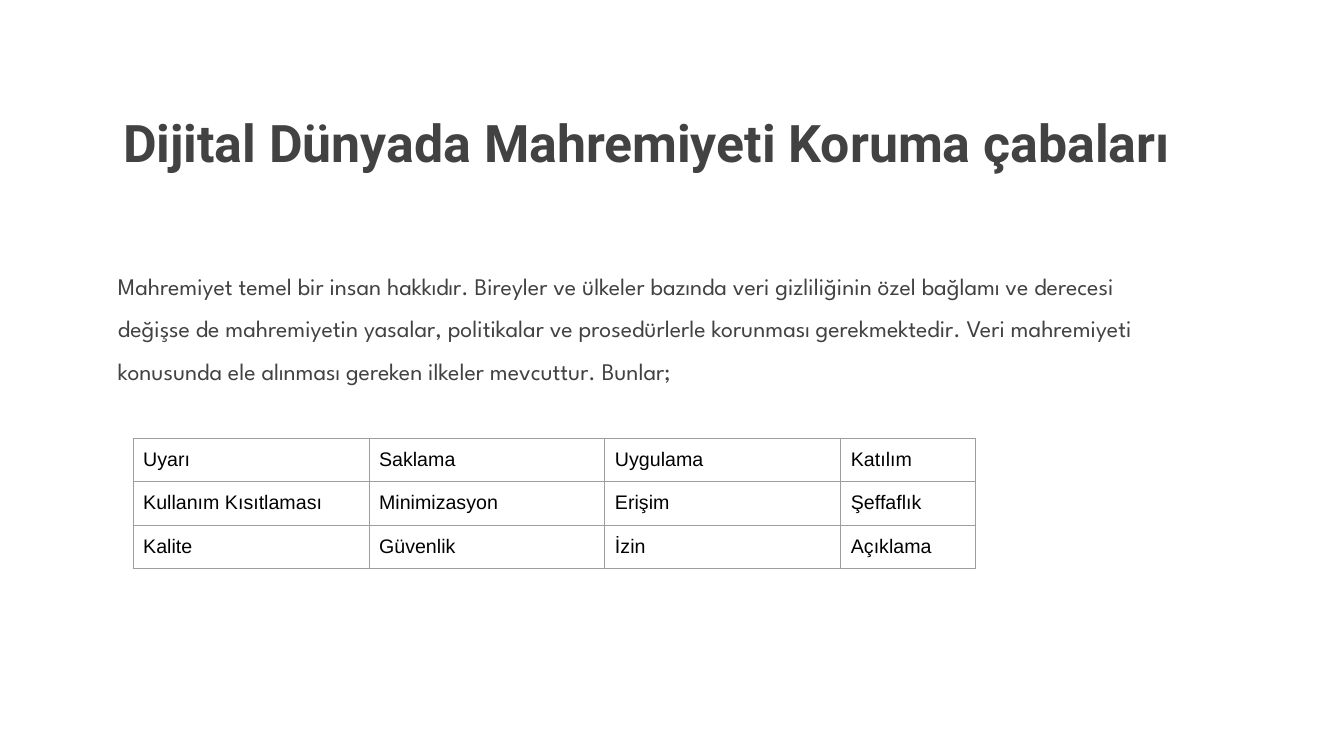
from lxml import etree
from pptx import Presentation
from pptx.dml.color import RGBColor
from pptx.enum.text import MSO_ANCHOR, MSO_AUTO_SIZE, PP_ALIGN
from pptx.oxml.ns import qn
from pptx.util import Inches, Pt

LEFT = PP_ALIGN.LEFT
TOP, MIDDLE = MSO_ANCHOR.TOP, MSO_ANCHOR.MIDDLE
NO_AUTOFIT = MSO_AUTO_SIZE.NONE
TITLE_AND_CONTENT = 1

DARK_GREY = RGBColor(0x42, 0x42, 0x42)
BORDER_GREY = RGBColor(0x9E, 0x9E, 0x9E)
BLACK = RGBColor(0, 0, 0)

TITLE = "Dijital Dünyada Mahremiyeti Koruma çabaları"
INTRODUCTION = (
    "Mahremiyet temel bir insan hakkıdır. Bireyler ve ülkeler bazında veri "
    "gizliliğinin özel bağlamı ve derecesi değişse de mahremiyetin yasalar, "
    "politikalar ve prosedürlerle korunması gerekmektedir. Veri mahremiyeti "
    "konusunda ele alınması gereken ilkeler mevcuttur. Bunlar;"
)
PRINCIPLES = [
    ["Uyarı", "Saklama", "Uygulama", "Katılım"],
    ["Kullanım Kısıtlaması", "Minimizasyon", "Erişim", "Şeffaflık"],
    ["Kalite", "Güvenlik", "İzin", "Açıklama"],
]
COLUMN_WIDTHS = [2.34, 2.34, 2.34, 1.34]
ROW_HEIGHT = 0.43


def set_margins(target, horizontal, vertical):
    target.margin_left = target.margin_right = Inches(horizontal)
    target.margin_top = target.margin_bottom = Inches(vertical)


def style_paragraph(para, font_name, size, color, bold=False):
    para.alignment = LEFT
    for span in para.runs:
        span.font.name = font_name
        span.font.size = Pt(size)
        span.font.bold = bold
        span.font.color.rgb = color


def place_text(box, top, height, text, anchor, side_margin, line_spacing):
    box.left, box.top = Inches(1.12), Inches(top)
    box.width, box.height = Inches(10.63), Inches(height)
    frame = box.text_frame
    frame.text = text
    frame.word_wrap = True
    frame.auto_size = NO_AUTOFIT
    frame.vertical_anchor = anchor
    set_margins(frame, side_margin, 0.05)
    para = frame.paragraphs[0]
    para.line_spacing = line_spacing
    para.space_before = Pt(0)
    return para


def remove_bullet(para):
    properties = para._p.get_or_add_pPr()
    properties.set("marL", "0")
    properties.set("indent", "0")
    etree.SubElement(properties, qn("a:buNone"))


def add_borders(cell):
    properties = cell._tc.get_or_add_tcPr()
    for side in ("lnL", "lnR", "lnT", "lnB"):
        line = etree.SubElement(properties, qn(f"a:{side}"), w=str(Pt(0.75)))
        fill = etree.SubElement(line, qn("a:solidFill"))
        etree.SubElement(fill, qn("a:srgbClr"), val=str(BORDER_GREY))


def add_principles_table(page):
    frame = page.shapes.add_table(
        len(PRINCIPLES), len(COLUMN_WIDTHS), Inches(1.32), Inches(4.35),
        Inches(sum(COLUMN_WIDTHS)), Inches(ROW_HEIGHT * len(PRINCIPLES)))
    table = frame.table
    table.first_row = table.horz_banding = False
    for column, width in zip(table.columns, COLUMN_WIDTHS):
        column.width = Inches(width)
    for row, labels in zip(table.rows, PRINCIPLES):
        row.height = Inches(ROW_HEIGHT)
        for cell, label in zip(row.cells, labels):
            cell.text_frame.text = label
            set_margins(cell, 0.1, 0.1)
            add_borders(cell)
            cell.fill.background()
            style_paragraph(cell.text_frame.paragraphs[0], "Arial", 14, BLACK)


def main():
    deck = Presentation()
    deck.slide_width, deck.slide_height = Inches(13.33), Inches(7.5)
    page = deck.slides.add_slide(deck.slide_layouts[TITLE_AND_CONTENT])

    title = place_text(page.shapes.title, 0.64, 1.64, TITLE, MIDDLE, 0.1, 0.8)
    style_paragraph(title, "Roboto", 37, DARK_GREY, bold=True)

    body = place_text(page.placeholders[1], 2.5, 5, INTRODUCTION, TOP, 0.05, 1.5)
    remove_bullet(body)
    style_paragraph(body, "League Spartan", 17, DARK_GREY)

    add_principles_table(page)
    deck.save("out.pptx")


if __name__ == "__main__":
    main()
